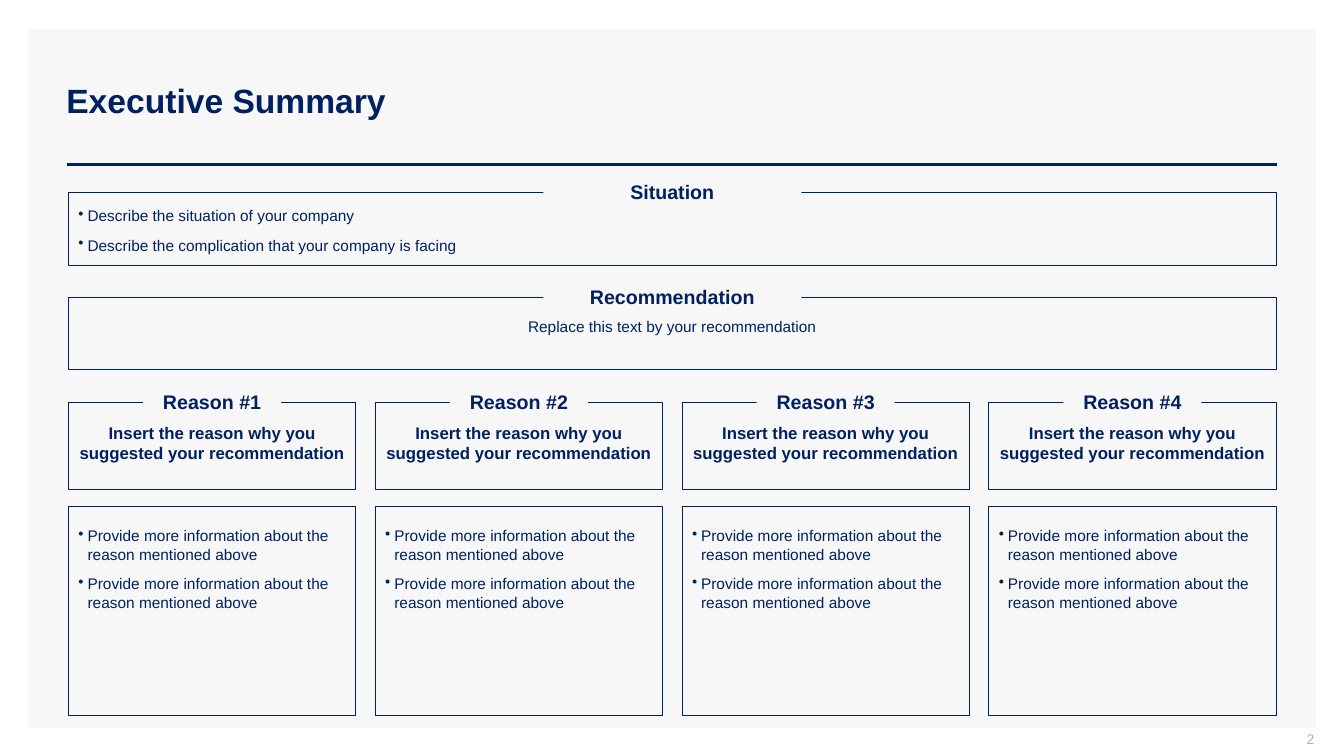
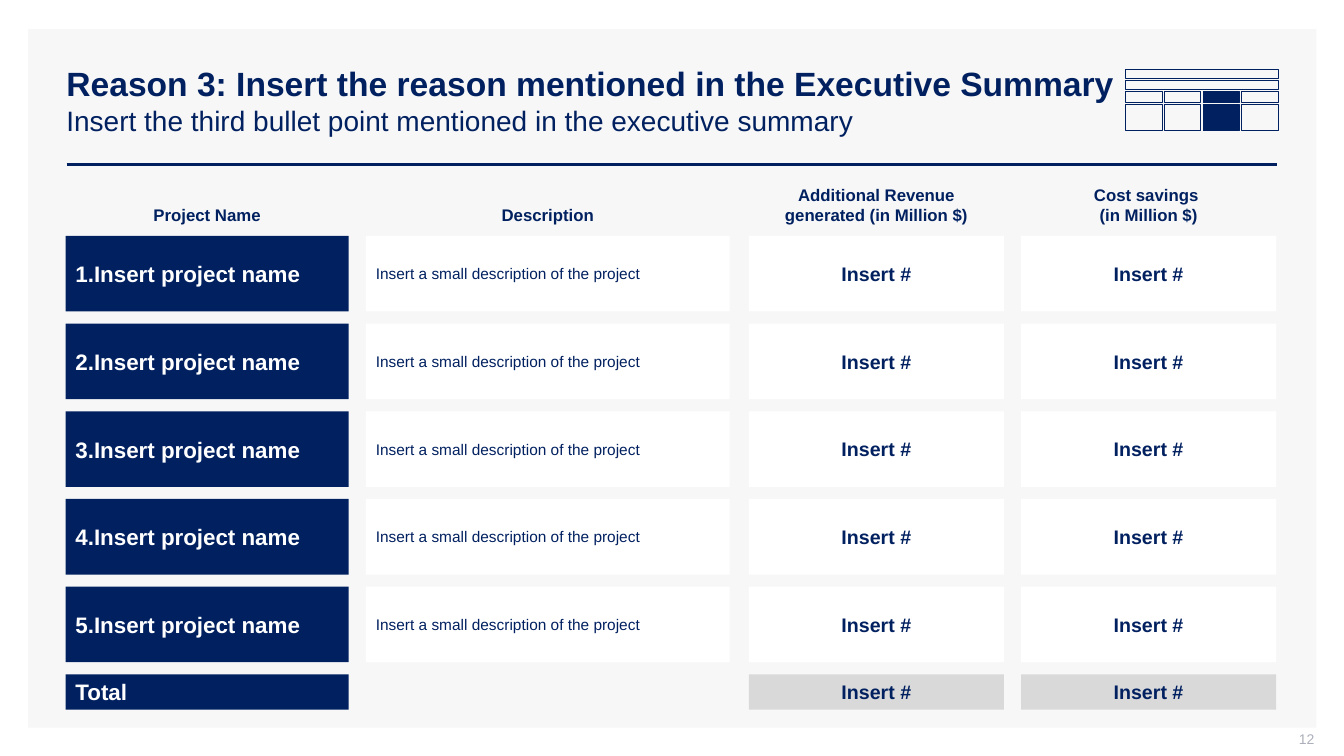
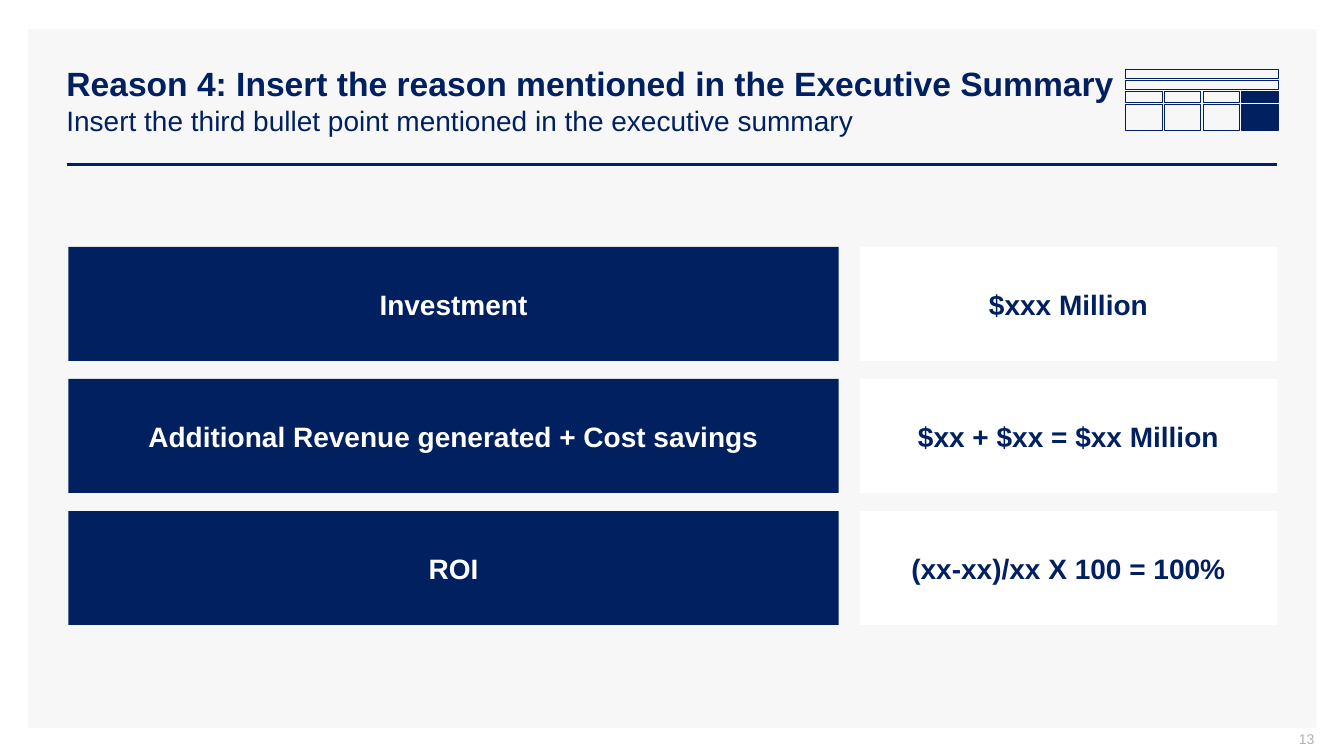
import pptx
import pptx.dml.color
import pptx.enum.shapes
import pptx.enum.text
import pptx.oxml
import pptx.oxml.ns
import pptx.util

NAVY, WHITE, PANEL, GREY, FOOTER = "002060", "FFFFFF", "F7F7F7", "D9D9D9", "ADAFBB"
COLUMNS, ROWS = 133.33, 75
LEFT, WIDTH = 6.8, 119.8
ALIGN = pptx.enum.text.PP_ALIGN
ANCHOR = pptx.enum.text.MSO_ANCHOR
RECTANGLE = pptx.enum.shapes.MSO_SHAPE.RECTANGLE
STRAIGHT = pptx.enum.shapes.MSO_CONNECTOR.STRAIGHT

SPACED = {"space_before": pptx.util.Pt(4), "space_after": pptx.util.Pt(4)}
LOW_START = (1, 2, 1, 0.5)
INSET_SIDES = ("margin_left", "margin_top", "margin_right", "margin_bottom")


def color(hex_value):
    return pptx.dml.color.RGBColor.from_string(hex_value)


def apply(target, values):
    for attribute, value in values.items():
        setattr(target, attribute, value)


def spread(left, width, count, item_width):
    """Left edges of equal items that fill the width with equal gaps."""
    pitch = (width - item_width) / (count - 1)
    return [left + i * pitch for i in range(count)]


class Deck:
    """Holds the shared style and the slide being drawn, on a grid of COLUMNS by ROWS."""

    def __init__(self):
        self.presentation = pptx.Presentation()
        apply(self.presentation, {"slide_width": pptx.util.Inches(13.333),
                                  "slide_height": pptx.util.Inches(7.5)})
        self.slide = None

    def place(self, column, row, width=0, height=0):
        x = self.presentation.slide_width / COLUMNS
        y = self.presentation.slide_height / ROWS
        return [round(v) for v in (column * x, row * y, width * x, height * y)]

    def start(self, number, heading, subheading=None):
        """Add a slide with its panel, rule, title and page number."""
        self.slide = self.presentation.slides.add_slide(
            self.presentation.slide_layouts[6])
        self.block(2.8, 2.9, 127.8, 69.3, fill=PANEL)
        self.rule(6.6, 126.7, 16.3)
        title = self.label(5.6, 4, 121.1, 11.9, heading, 24, bold=True,
                           align=ALIGN.LEFT, anchor=ANCHOR.MIDDLE)
        if subheading:
            paragraph = title.text_frame.paragraphs[0]
            paragraph.add_line_break()
            self.run(paragraph, subheading, 20, NAVY, False)
        self.label(100.4, 72.5, 30, 2.1, str(number), 10, ink=FOOTER,
                   align=ALIGN.RIGHT, anchor=ANCHOR.MIDDLE, insets=(1, 0, 0, 0.5))

    def rule(self, first, last, row):
        line = self.slide.shapes.add_connector(
            STRAIGHT, *self.place(first, row)[:2], *self.place(last, row)[:2])
        line.line.color.rgb = color(NAVY)
        line.line.width = pptx.util.Pt(2)
        line._element.spPr.append(pptx.oxml.parse_xml(
            '<a:effectLst xmlns:a="http://schemas.openxmlformats.org/drawingml/2006/main"/>'))

    def block(self, column, row, width, height, text=None, size=None,
              fill=None, outline=False, **style):
        shape = self.slide.shapes.add_shape(
            RECTANGLE, *self.place(column, row, width, height))
        shape.shadow.inherit = False
        if fill:
            shape.fill.solid()
            shape.fill.fore_color.rgb = color(fill)
        else:
            shape.fill.background()
        if outline:
            shape.line.color.rgb = color(NAVY)
            shape.line.width = pptx.util.Pt(0.75)
        else:
            shape.line.fill.background()
        if text:
            self.set_text(shape, text, size, **{"anchor": ANCHOR.MIDDLE, **style})

    def label(self, column, row, width, height, text, size, **style):
        box = self.slide.shapes.add_textbox(*self.place(column, row, width, height))
        self.set_text(box, text, size, **style)
        return box

    def set_text(self, shape, text, size, ink=NAVY, bold=False, align=ALIGN.CENTER,
                 anchor=ANCHOR.TOP, insets=(1, 0.5, 1, 0.5), spacing=None, bullet=False):
        frame = shape.text_frame
        margins = [pptx.util.Inches(inset / 10) for inset in insets]
        apply(frame, {"word_wrap": True, "vertical_anchor": anchor,
                      **dict(zip(INSET_SIDES, margins))})
        for i, line in enumerate(text.split("\n")):
            paragraph = frame.add_paragraph() if i else frame.paragraphs[0]
            apply(paragraph, {"alignment": align, **(spacing or {})})
            if bullet:
                self.add_bullet(paragraph)
            self.run(paragraph, line, size, ink, bold)

    def run(self, paragraph, text, size, ink, bold):
        run = paragraph.add_run()
        run.text = text
        apply(run.font, {"name": "Arial", "size": pptx.util.Pt(size), "bold": bold})
        run.font.color.rgb = color(ink)

    def add_bullet(self, paragraph):
        properties = paragraph._p.get_or_add_pPr()
        indent = pptx.util.Inches(0.09)
        properties.set("marL", str(indent))
        properties.set("indent", str(-indent))
        mark = properties.makeelement(pptx.oxml.ns.qn("a:buChar"), {"char": "•"})
        properties.append(mark)

    def captioned(self, column, row, width, height, caption, caption_width,
                  text, size, **style):
        """An outlined box whose caption interrupts its top edge."""
        self.block(column, row, width, height, text, size, outline=True,
                   **{"spacing": SPACED, **style})
        self.block(column + (width - caption_width) / 2, row - 1.65,
                   caption_width, 3.1, caption, 14, fill=PANEL, bold=True)

    def navigator(self, current):
        """A miniature of the summary with the current reason filled."""
        left, width, cell = 111.7, 15.1, 3.6
        for row in (6.9, 8):
            self.block(left, row, width, 0.9, outline=True)
        for row, height in ((9.1, 1.1), (10.4, 2.6)):
            for number, column in enumerate(spread(left, width, 4, cell), 1):
                self.block(column, row, cell, height, outline=True,
                           fill=NAVY if number == current else None)


def executive_summary(deck):
    deck.start(2, "Executive Summary")
    deck.captioned(LEFT, 19.1, WIDTH, 7.2, "Situation", 25.6,
                   "Describe the situation of your company\n"
                   "Describe the complication that your company is facing", 11,
                   align=ALIGN.LEFT, insets=(1, 0.8, 1, 0.5), bullet=True)
    deck.captioned(LEFT, 29.5, WIDTH, 7.2, "Recommendation", 25.6,
                   "Replace this text by your recommendation", 11,
                   anchor=ANCHOR.TOP, insets=LOW_START)
    card = 28.5
    detail = "Provide more information about the reason mentioned above"
    for number, column in enumerate(spread(LEFT, WIDTH, 4, card), 1):
        deck.captioned(column, 39.9, card, 8.7, f"Reason #{number}", 13.7,
                       "Insert the reason why you suggested your recommendation", 12,
                       bold=True, anchor=ANCHOR.TOP, insets=LOW_START)
        deck.block(column, 50.2, card, 20.8, f"{detail}\n{detail}", 11, outline=True,
                   align=ALIGN.LEFT, anchor=ANCHOR.TOP, insets=LOW_START,
                   spacing=SPACED, bullet=True)


def reason_slide(deck, page, reason):
    deck.start(page, f"Reason {reason}: Insert the reason mentioned in the Executive Summary",
               "Insert the third bullet point mentioned in the executive summary")
    deck.navigator(reason)


def project_list(deck):
    reason_slide(deck, 12, 3)
    name = {"size": 16, "fill": NAVY, "ink": WHITE, "bold": True, "align": ALIGN.LEFT}
    description = {"size": 11, "fill": WHITE, "align": ALIGN.LEFT}
    amount = {"size": 14, "fill": WHITE, "bold": True}
    # heading, heading height, column, width, row text, total, style
    fields = [
        ("Project Name", 3, 6.5, 28.1, "{}.Insert project name", "Total", name),
        ("Description", 3, 36.3, 36.1, "Insert a small description of the project",
         None, description),
        ("Additional Revenue generated (in Million $)", 5, 74.3, 25.3,
         "Insert #", "Insert #", amount),
        ("Cost savings \n(in Million $)", 5, 101.3, 25.3, "Insert #", "Insert #", amount),
    ]
    first_row, pitch, projects = 23.4, 8.7, 5
    for heading, height, column, width, entry, total, style in fields:
        deck.label(column, 22.8 - height, width, height, heading, 12, bold=True)
        for i in range(projects):
            deck.block(column, first_row + i * pitch, width, 7.5,
                       entry.format(i + 1), **style)
        if total:
            total_style = {**style, "fill": GREY} if style is amount else style
            deck.block(column, first_row + projects * pitch, width, 3.5,
                       total, **total_style)


def return_on_investment(deck):
    reason_slide(deck, 13, 4)
    measures = [
        ("Investment", "$xxx Million"),
        ("Additional Revenue generated + Cost savings", "$xx + $xx = $xx Million"),
        ("ROI", "(xx-xx)/xx X 100 = 100%"),
    ]
    for i, (measure, value) in enumerate(measures):
        row = 24.5 + i * 13.1
        deck.block(LEFT, row, 76.4, 11.3, measure, 20, fill=NAVY, ink=WHITE, bold=True)
        deck.block(85.3, row, 41.4, 11.3, value, 20, fill=WHITE, bold=True)


def main():
    deck = Deck()
    executive_summary(deck)
    project_list(deck)
    return_on_investment(deck)
    deck.presentation.save("out.pptx")


if __name__ == "__main__":
    main()
